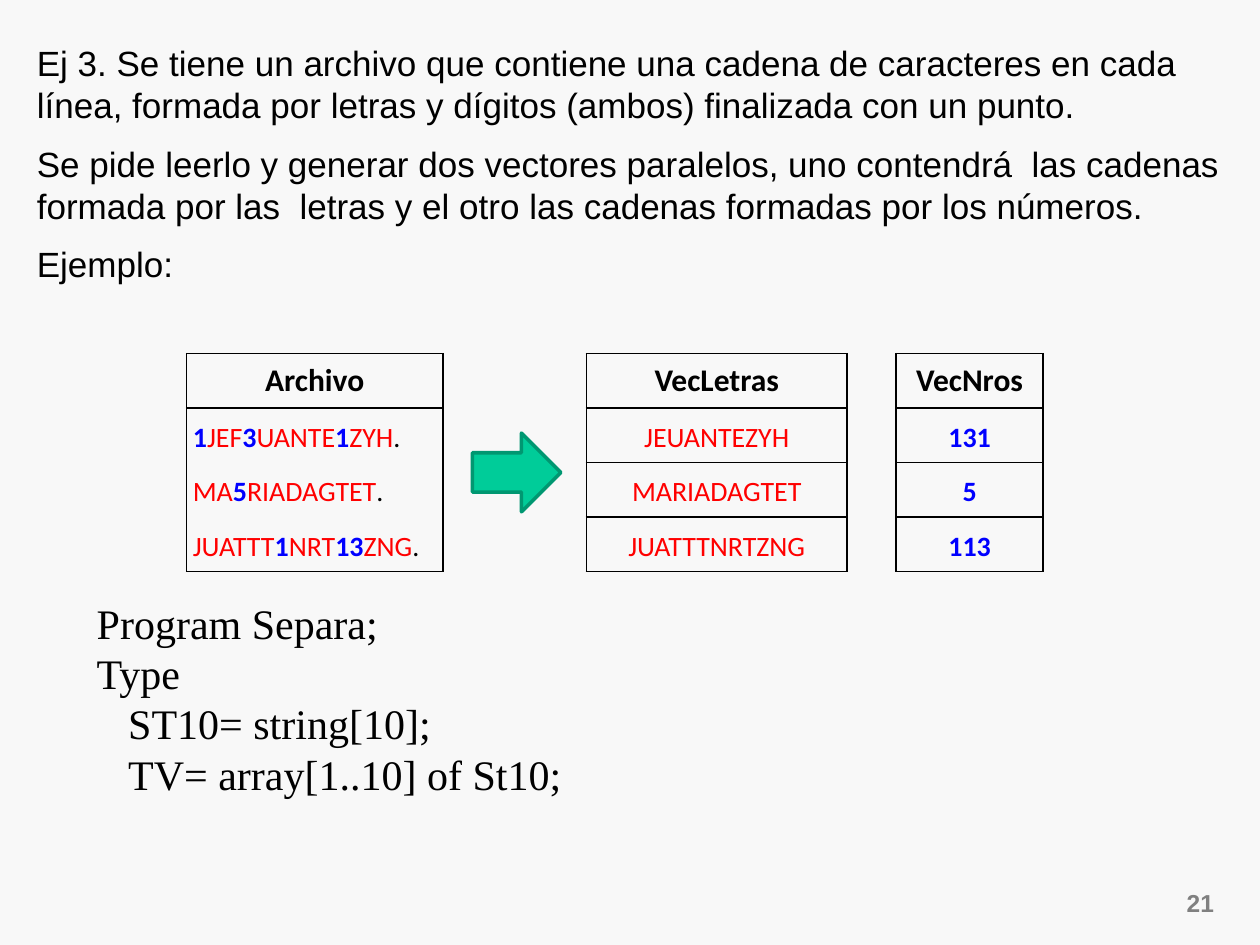
from itertools import groupby

from lxml.etree import SubElement
from pptx import Presentation
from pptx.dml.color import RGBColor
from pptx.enum.shapes import MSO_SHAPE
from pptx.enum.text import MSO_ANCHOR, PP_ALIGN
from pptx.oxml.ns import qn
from pptx.util import Pt

THEME = {
    "background": "F8F8F8", "ink": "000000", "letters": "FF0000", "digits": "0000FF",
    "muted": "808080", "arrow": "00CC99", "arrow_edge": "009771",
    "body": ("Arial", 20), "code": ("Times New Roman", 24), "number": ("Arial", 14),
    "heading": ("Calibri", 18), "data": ("Calibri", 16),
}
STATEMENT = [
    "Ej 3. Se tiene un archivo que contiene una cadena de caracteres en cada línea, "
    "formada por letras y dígitos (ambos) finalizada con un punto.",
    "Se pide leerlo y generar dos vectores paralelos, uno contendrá  las cadenas "
    "formada por las  letras y el otro las cadenas formadas por los números.",
    "Ejemplo:",
]
CODE = [("Program Separa;", 0), ("Type", 0), ("ST10= string[10];", 1),
        ("TV= array[1..10] of St10;", 1)]
EXAMPLE = [
    ("Archivo", "", "VecLetras", "", "VecNros"),
    ("1JEF3UANTE1ZYH.", "", "JEUANTEZYH", "", "131"),
    ("MA5RIADAGTET.", "", "MARIADAGTET", "", "5"),
    ("JUATTT1NRT13ZNG.", "", "JUATTTNRTZNG", "", "113"),
]
COLUMN_WIDTHS = [146.5, 82, 149, 28, 84]
ROW_HEIGHT = 31.15
PAGE_NUMBER = "21"
NO_STYLE = "{2D5ABB26-0587-4C30-8999-92F81FD0307C}"


def color(name):
    return RGBColor.from_string(THEME[name])


def character_kind(character):
    if character.isdigit():
        return "digits"
    return "letters" if character.isalpha() else "ink"


def colored_pieces(text):
    return [("".join(group), kind, kind == "digits")
            for kind, group in groupby(text, character_kind)]


def write(paragraph, text, style="body", ink="ink", bold=False, by_kind=False,
          align=PP_ALIGN.LEFT, after=0, spacing=1.0, indent=0):
    paragraph.alignment = align
    paragraph.space_after = Pt(after)
    paragraph.line_spacing = spacing
    if indent:
        paragraph._p.get_or_add_pPr().set("marL", str(Pt(indent)))
    pieces = colored_pieces(text) if by_kind else [(text, ink, bold)]
    for piece, piece_ink, piece_bold in pieces:
        run = paragraph.add_run()
        run.text = piece
        font = run.font
        font.name, size = THEME[style]
        font.size = Pt(size)
        font.bold = piece_bold
        font.color.rgb = color(piece_ink)


def add_text_frame(slide, left, top, width, height):
    frame = slide.shapes.add_textbox(Pt(left), Pt(top), Pt(width), Pt(height)).text_frame
    frame.word_wrap = True
    return frame


def next_paragraph(frame, index):
    return frame.add_paragraph() if index else frame.paragraphs[0]


def set_borders(cell, sides):
    properties = cell._tc.get_or_add_tcPr()
    for side in "LRTB":
        line = SubElement(properties, qn(f"a:ln{side}"), w=str(Pt(1)))
        if side in sides:
            fill = SubElement(line, qn("a:solidFill"))
            SubElement(fill, qn("a:srgbClr"), val=THEME["ink"])
        else:
            SubElement(line, qn("a:noFill"))


def border_sides(row, column):
    if column % 2:
        return "LR"
    if column == 0 and row:
        return "LR" + ("T" if row == 1 else "") + ("B" if row == len(EXAMPLE) - 1 else "")
    return "LRTB"


def add_example(slide, left, top):
    frame = slide.shapes.add_table(len(EXAMPLE), len(COLUMN_WIDTHS), Pt(left), Pt(top),
                                   Pt(sum(COLUMN_WIDTHS)), Pt(ROW_HEIGHT * len(EXAMPLE)))
    table = frame.table
    table.first_row = table.horz_banding = False
    table._tbl.tblPr.find(qn("a:tableStyleId")).text = NO_STYLE
    for column, width in zip(table.columns, COLUMN_WIDTHS):
        column.width = Pt(width)
    for row, texts in enumerate(EXAMPLE):
        table.rows[row].height = Pt(ROW_HEIGHT)
        for column, text in enumerate(texts):
            cell = table.cell(row, column)
            set_borders(cell, border_sides(row, column))
            cell.fill.background()
            cell.vertical_anchor = MSO_ANCHOR.MIDDLE
            cell.margin_left = cell.margin_right = Pt(3.6)
            cell.margin_top = cell.margin_bottom = 0
            if not text:
                continue
            paragraph = cell.text_frame.paragraphs[0]
            if row == 0:
                write(paragraph, text, style="heading", bold=True, align=PP_ALIGN.CENTER)
            else:
                write(paragraph, text, style="data", by_kind=True, spacing=1.15,
                      align=PP_ALIGN.CENTER if column else PP_ALIGN.LEFT)


def add_arrow(slide, left, top, width, height):
    arrow = slide.shapes.add_shape(MSO_SHAPE.RIGHT_ARROW, Pt(left), Pt(top),
                                   Pt(width), Pt(height))
    arrow.shadow.inherit = False
    arrow.fill.solid()
    arrow.fill.fore_color.rgb = color("arrow")
    arrow.line.color.rgb = color("arrow_edge")
    arrow.line.width = Pt(2)


def main():
    presentation = Presentation()
    presentation.slide_width, presentation.slide_height = Pt(720), Pt(540)
    slide = presentation.slides.add_slide(presentation.slide_layouts[6])
    slide.background.fill.solid()
    slide.background.fill.fore_color.rgb = color("background")

    number = add_text_frame(slide, 654, 504, 46.8, 24)
    write(number.paragraphs[0], PAGE_NUMBER, style="number", ink="muted", bold=True,
          align=PP_ALIGN.RIGHT)

    statement = add_text_frame(slide, 14, 20.2, 695, 147.6)
    for index, text in enumerate(STATEMENT):
        write(next_paragraph(statement, index), text, after=9.5)

    add_example(slide, 106.6, 202)

    code = add_text_frame(slide, 48.2, 337.7, 641, 124)
    for index, (text, level) in enumerate(CODE):
        write(next_paragraph(code, index), text, style="code", indent=18 * level)

    add_arrow(slide, 270, 247.5, 50.5, 45)
    presentation.save("out.pptx")


if __name__ == "__main__":
    main()
